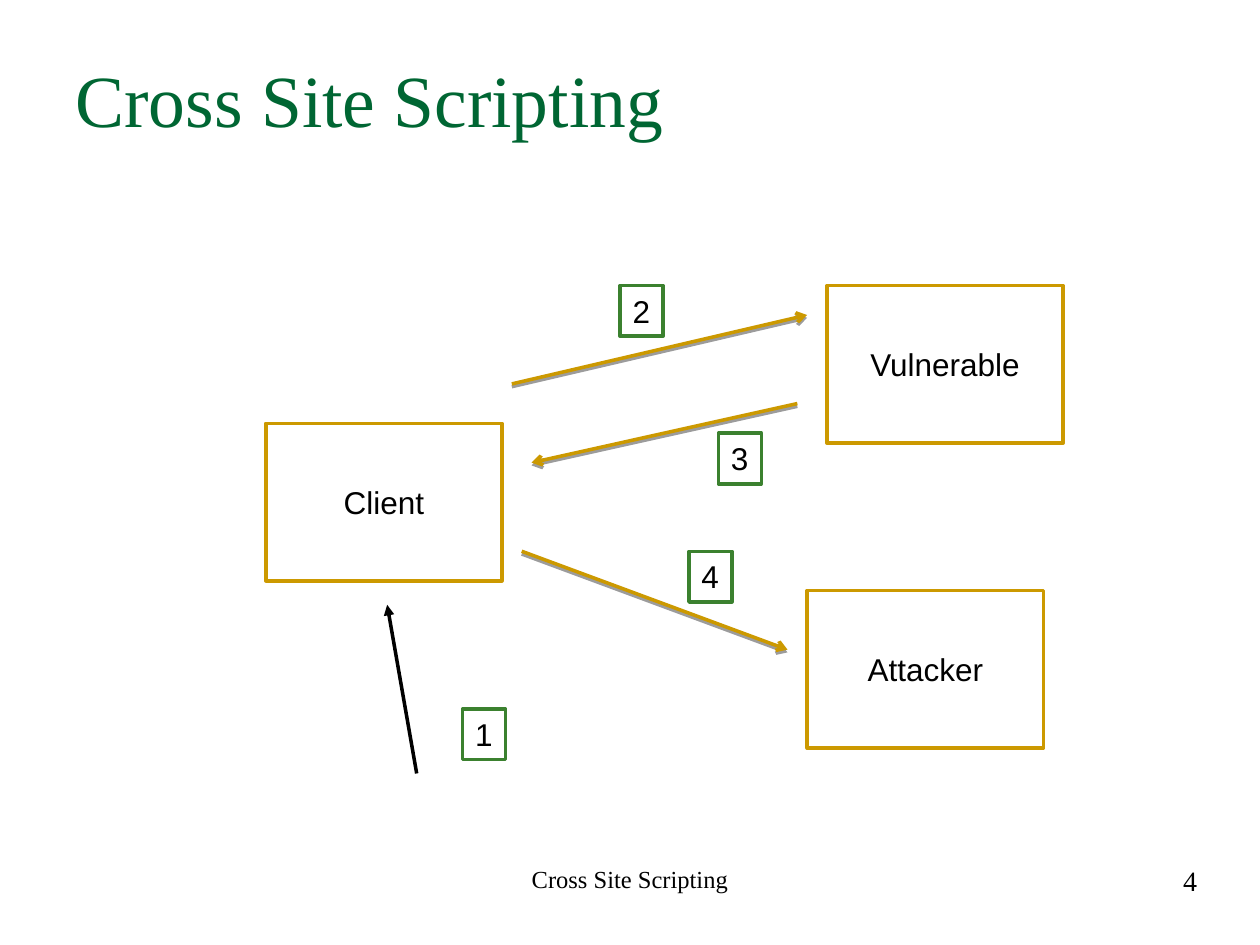
from dataclasses import dataclass

from lxml import etree
from pptx import Presentation
from pptx.dml.color import RGBColor
from pptx.enum import shapes, text
from pptx.oxml import ns
from pptx.util import Pt

COLORS = {"title": "006633", "gold": "CC9900", "green": "3B812F",
          "ink": "000000", "paper": "FFFFFF"}
SANS, SERIF = "Arial", "Times New Roman"
PARTY_SIZE = (135, 90)
STEP_SIZE = (24.5, 29)


@dataclass
class Box:
    label: str
    left: float
    top: float


@dataclass
class Arrow:
    start: tuple[float, float]
    end: tuple[float, float]
    color: str = "gold"
    width: float = 2
    head: str = "arrow"
    shadow: bool = True


@dataclass
class Label:
    words: str
    frame: tuple[float, float, float, float]
    size: float
    color: str = "ink"
    align: text.PP_ALIGN = text.PP_ALIGN.LEFT
    inset: tuple[float, float] = (0, 0)


PARTIES = [Box("Vulnerable", 472.5, 163.12), Box("Attacker", 461.25, 337.5),
           Box("Client", 151.88, 241.88)]
STEPS = [Box("1", 264.38, 405), Box("3", 410.62, 247.5),
         Box("2", 354.38, 163.12), Box("4", 393.75, 315)]
REQUESTS = [Arrow((292.5, 219.38), (461.25, 180)),
            Arrow((455.62, 230.62), (303.75, 264.38)),
            Arrow((298.12, 315), (450, 371.25))]
ENTRY = Arrow((238.12, 442), (221.25, 345.6), "ink", 0, "triangle", False)
TITLE = Label("Cross Site Scripting", (36, 21.6, 648, 90), 42, "title",
              inset=(7.2, 9))
FOOTERS = [Label("Cross Site Scripting", (246, 492, 228, 37.5), 14,
                 align=text.PP_ALIGN.CENTER, inset=(0, 1.5)),
           Label("4", (516, 492, 168, 37.5), 16,
                 align=text.PP_ALIGN.RIGHT, inset=(0, 1.5))]


def rgb(name: str) -> RGBColor:
    return RGBColor.from_string(COLORS[name])


def write(tf, words: str, font: str, size: float, color: str, align) -> None:
    p = tf.paragraphs[0]
    p.alignment = align
    r = p.add_run()
    r.text = words
    r.font.name, r.font.size = font, Pt(size)
    r.font.color.rgb = rgb(color)


def add_label(s, label: Label) -> None:
    tf = s.shapes.add_textbox(*map(Pt, label.frame)).text_frame
    tf.word_wrap = True
    tf.margin_left = tf.margin_right = Pt(label.inset[0])
    tf.margin_top = tf.margin_bottom = Pt(label.inset[1])
    write(tf, label.words, SERIF, label.size, label.color, label.align)


def add_box(s, box: Box, size: tuple[float, float], color: str, align):
    sp = s.shapes.add_shape(shapes.MSO_SHAPE.RECTANGLE,
                            *map(Pt, (box.left, box.top, *size)))
    sp.shadow.inherit = False
    sp.fill.solid()
    sp.fill.fore_color.rgb = rgb("paper")
    sp.line.color.rgb = rgb(color)
    sp.line.width = Pt(2)
    write(sp.text_frame, box.label, SANS, 18, "ink", align)
    return sp.text_frame


def add_step(s, step: Box) -> None:
    tf = add_box(s, step, STEP_SIZE, "green", text.PP_ALIGN.LEFT)
    tf.vertical_anchor = text.MSO_ANCHOR.TOP
    tf.word_wrap = False
    tf.auto_size = text.MSO_AUTO_SIZE.SHAPE_TO_FIT_TEXT


def add_arrow(s, arrow: Arrow) -> None:
    c = s.shapes.add_connector(shapes.MSO_CONNECTOR.STRAIGHT,
                               *map(Pt, (*arrow.start, *arrow.end)))
    c.line.color.rgb = rgb(arrow.color)
    c.line.width = Pt(arrow.width)
    sp_pr = c._element.spPr
    etree.SubElement(sp_pr.find(ns.qn("a:ln")), ns.qn("a:tailEnd"), type=arrow.head)
    effects = etree.SubElement(sp_pr, ns.qn("a:effectLst"))
    if arrow.shadow:
        shadow = etree.SubElement(effects, ns.qn("a:outerShdw"), blurRad="0",
                                  dist=str(Pt(1.6)), dir="5400000", rotWithShape="0")
        ink = etree.SubElement(shadow, ns.qn("a:srgbClr"), val=COLORS["ink"])
        etree.SubElement(ink, ns.qn("a:alpha"), val="38000")


def main() -> None:
    prs = Presentation()
    prs.slide_width, prs.slide_height = Pt(720), Pt(540)
    s = prs.slides.add_slide(prs.slide_layouts[6])
    add_label(s, TITLE)
    for party in PARTIES:
        tf = add_box(s, party, PARTY_SIZE, "gold", text.PP_ALIGN.CENTER)
        tf.vertical_anchor = text.MSO_ANCHOR.MIDDLE
    for request in REQUESTS:
        add_arrow(s, request)
    for step in STEPS:
        add_step(s, step)
    add_arrow(s, ENTRY)
    for footer in FOOTERS:
        add_label(s, footer)
    prs.save("out.pptx")


if __name__ == "__main__":
    main()
